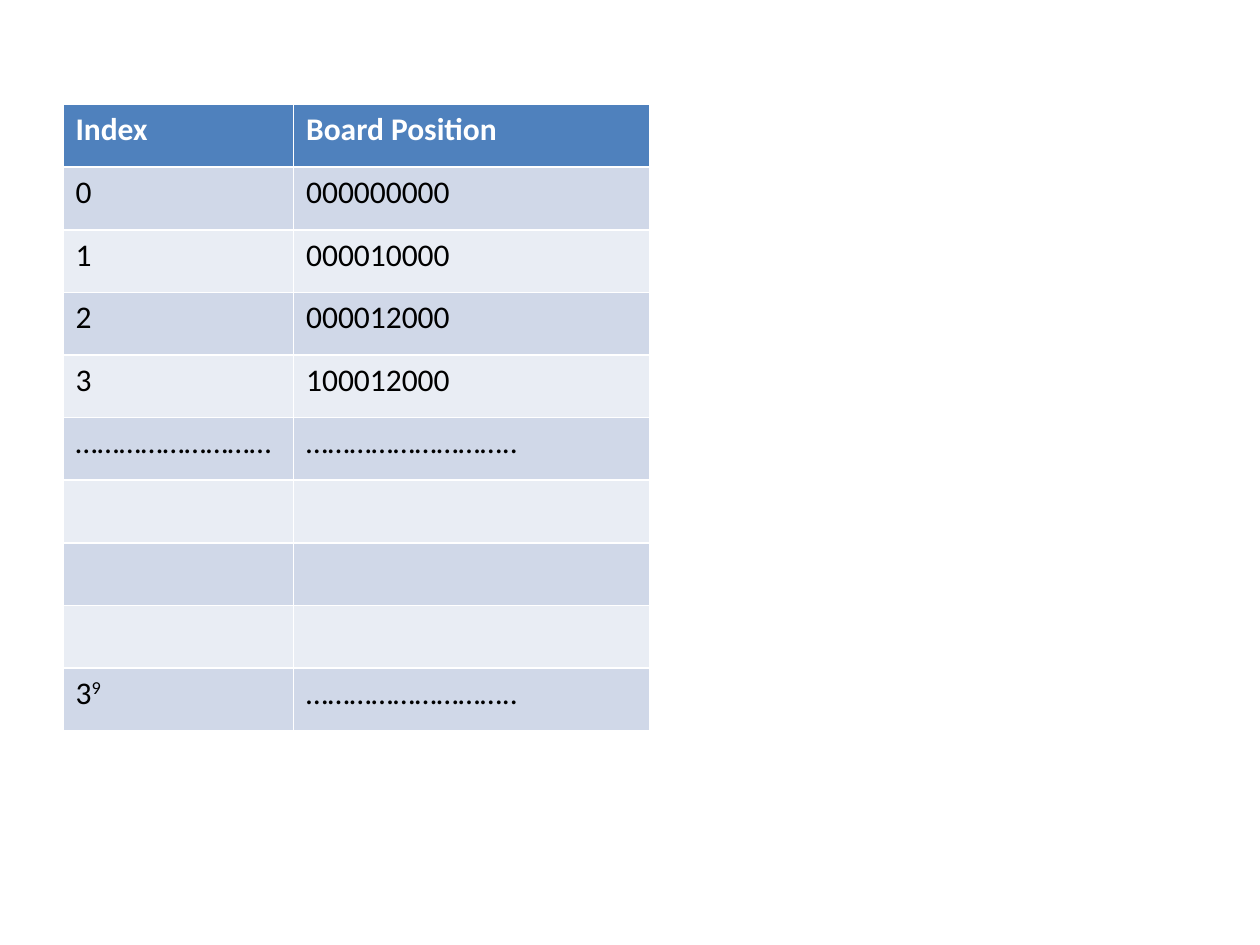
from pptx import Presentation
from pptx.dml.color import RGBColor
from pptx.util import Inches, Pt

HEADINGS = ("Index", "Board Position")
POSITIONS = [
    ("0", "000000000"),
    ("1", "000010000"),
    ("2", "000012000"),
    ("3", "100012000"),
    ("………………………", "……………………….."),
    ("", ""),
    ("", ""),
    ("", ""),
    (("3", "9"), "……………………….."),
]
COLUMN_WIDTHS = (1.83, 2.83)
TABLE_LEFT, TABLE_TOP, TABLE_HEIGHT = 0.5, 0.83, 4.97
HEADING_FILL = "4F81BD"
BAND_FILLS = ("E9EDF4", "D0D8E8")


def colour(value):
    return RGBColor.from_string(value)


def fill_cell(cell, content, background, ink, bold):
    cell.fill.solid()
    cell.fill.fore_color.rgb = colour(background)
    base, *exponent = content if isinstance(content, tuple) else (content,)
    paragraph = cell.text_frame.paragraphs[0]
    paragraph.font.size = Pt(18)
    paragraph.text = base
    for power in exponent:
        raised = paragraph.add_run()
        raised.text = power
        raised.font._element.set("baseline", "30000")
    for run in paragraph.runs:
        run.font.name = "Calibri"
        run.font.size = Pt(18)
        run.font.bold = bold
        run.font.color.rgb = colour(ink)


deck = Presentation()
deck.slide_width, deck.slide_height = Inches(10), Inches(7.5)
slide = deck.slides.add_slide(deck.slide_layouts[6])

rows = [HEADINGS, *POSITIONS]
board_table = slide.shapes.add_table(
    len(rows), len(HEADINGS), Inches(TABLE_LEFT), Inches(TABLE_TOP),
    Inches(sum(COLUMN_WIDTHS)), Inches(TABLE_HEIGHT),
).table
for column, width in zip(board_table.columns, COLUMN_WIDTHS):
    column.width = Inches(width)

for row_index, row in enumerate(rows):
    heading = row_index == 0
    background = HEADING_FILL if heading else BAND_FILLS[row_index % 2]
    ink = "FFFFFF" if heading else "000000"
    for column_index, content in enumerate(row):
        fill_cell(board_table.cell(row_index, column_index), content, background, ink, heading)

deck.save("out.pptx")
